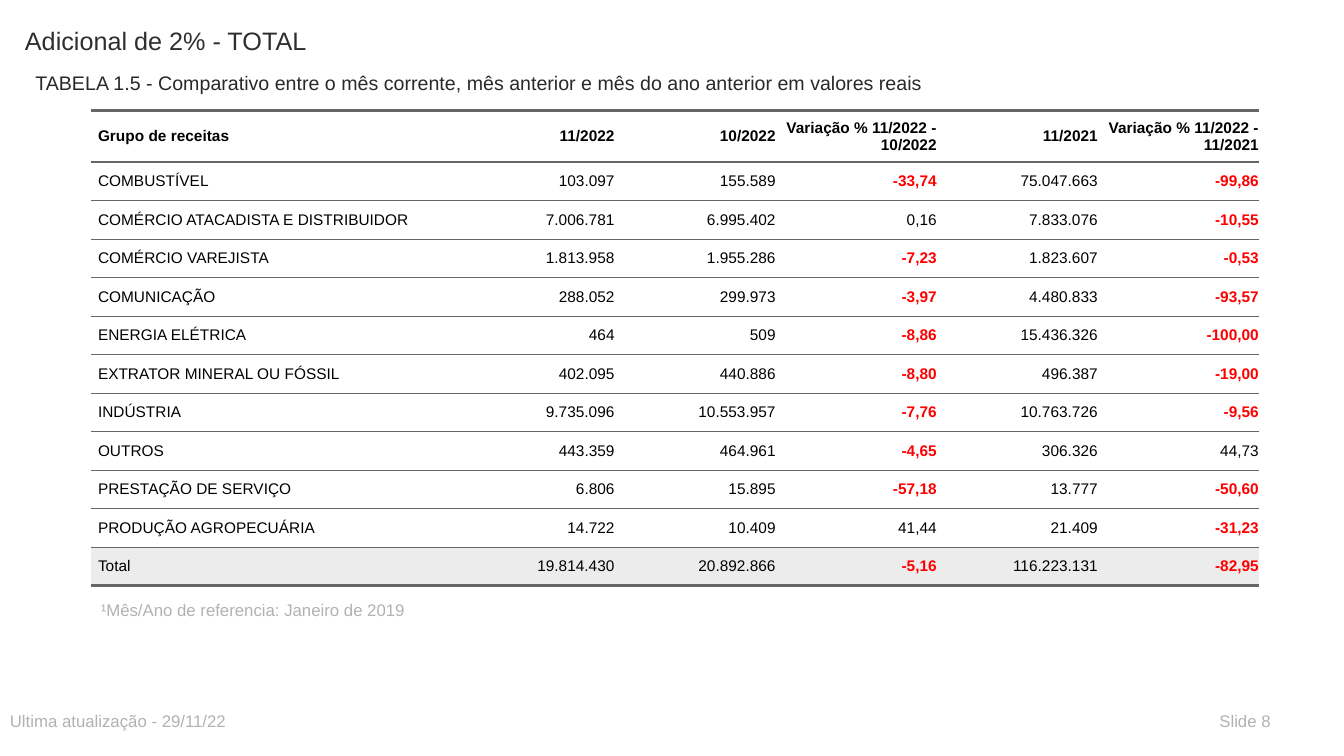
import pptx
import pptx.dml.color
import pptx.enum.text
import pptx.oxml
import pptx.oxml.ns
import pptx.util
from pptx.util import Cm

FONT = "Arial"
BLACK, RED, GREY, RULE = "000000", "FF0000", "B2B2B2", "666666"
THIN, THICK = 0.5, 2


def rgb(hex_color):
    return pptx.dml.color.RGBColor.from_string(hex_color)


def add_run(paragraph, text, size, color, bold=False):
    run = paragraph.add_run()
    run.text = text
    run.font.name = FONT
    run.font.size = pptx.util.Pt(size)
    run.font.bold = bold
    run.font.color.rgb = rgb(color)


presentation = pptx.Presentation()
presentation.slide_width = Cm(33.87)
presentation.slide_height = Cm(19.05)
slide = presentation.slides.add_slide(presentation.slide_layouts[6])

# Headings, footnote and footer: left, top, width, height, size, color, text
captions = [
    (0.38, 0.51, 20.32, 1.5, 18, "2D2E2D", "Adicional de 2% - TOTAL"),
    (0.64, 1.65, 25.4, 0.76, 14, "292929",
     "TABELA 1.5 - Comparativo entre o mês corrente, mês anterior e mês do ano anterior em valores reais"),
    (2.29, 14.99, 16.51, 0.76, 12, GREY, "¹Mês/Ano de referencia: Janeiro de 2019"),
    (0, 17.78, 16.51, 0.76, 12, GREY, "Ultima atualização - 29/11/22"),
    (30.48, 17.78, 2.29, 0.76, 12, GREY, "Slide 8"),
]
for left, top, width, height, size, color, text in captions:
    caption = slide.shapes.add_textbox(Cm(left), Cm(top), Cm(width), Cm(height))
    caption.text_frame.word_wrap = True
    add_run(caption.text_frame.paragraphs[0], text, size, color)

# Revenue table
revenues = [
    ("Grupo de receitas", "11/2022", "10/2022", "Variação % 11/2022 - 10/2022",
     "11/2021", "Variação % 11/2022 - 11/2021"),
    ("COMBUSTÍVEL", "103.097", "155.589", "-33,74", "75.047.663", "-99,86"),
    ("COMÉRCIO ATACADISTA E DISTRIBUIDOR", "7.006.781", "6.995.402", "0,16", "7.833.076", "-10,55"),
    ("COMÉRCIO VAREJISTA", "1.813.958", "1.955.286", "-7,23", "1.823.607", "-0,53"),
    ("COMUNICAÇÃO", "288.052", "299.973", "-3,97", "4.480.833", "-93,57"),
    ("ENERGIA ELÉTRICA", "464", "509", "-8,86", "15.436.326", "-100,00"),
    ("EXTRATOR MINERAL OU FÓSSIL", "402.095", "440.886", "-8,80", "496.387", "-19,00"),
    ("INDÚSTRIA", "9.735.096", "10.553.957", "-7,76", "10.763.726", "-9,56"),
    ("OUTROS", "443.359", "464.961", "-4,65", "306.326", "44,73"),
    ("PRESTAÇÃO DE SERVIÇO", "6.806", "15.895", "-57,18", "13.777", "-50,60"),
    ("PRODUÇÃO AGROPECUÁRIA", "14.722", "10.409", "41,44", "21.409", "-31,23"),
    ("Total", "19.814.430", "20.892.866", "-5,16", "116.223.131", "-82,95"),
]
column_widths = [9.14] + [4.06] * 5
row_heights = [1.22] + [0.97] * (len(revenues) - 1)
total_row = len(revenues) - 1
# Weight of each horizontal rule, from above the header to below the total
rule_weights = [THICK, THICK] + [THIN] * (total_row - 1) + [THICK]

table = slide.shapes.add_table(
    len(revenues), len(column_widths), Cm(2.29), Cm(2.79),
    Cm(sum(column_widths)), Cm(sum(row_heights))).table
table.first_row = False
table.horz_banding = False
no_grid_style = "{2D5ABB26-0587-4C30-8999-92F81FD0307C}"
table._tbl.tblPr.find(pptx.oxml.ns.qn("a:tableStyleId")).text = no_grid_style
for column, width in zip(table.columns, column_widths):
    column.width = Cm(width)
for row, height in zip(table.rows, row_heights):
    row.height = Cm(height)

for row_index, values in enumerate(revenues):
    for column_index, value in enumerate(values):
        cell = table.cell(row_index, column_index)
        cell.margin_left = cell.margin_right = 0
        cell.margin_top = cell.margin_bottom = Cm(0.18)
        cell.vertical_anchor = pptx.enum.text.MSO_ANCHOR.MIDDLE
        cell.fill.solid()
        cell.fill.fore_color.rgb = rgb("ECECEC" if row_index == total_row else "FFFFFF")

        paragraph = cell.text_frame.paragraphs[0]
        paragraph.space_before = paragraph.space_after = pptx.util.Pt(5)
        paragraph._p.get_or_add_pPr().set("marL", str(Cm(0.18)))
        if column_index > 0:
            paragraph.alignment = pptx.enum.text.PP_ALIGN.RIGHT
        negative = value.startswith("-")
        add_run(paragraph, value, 11, RED if negative else BLACK,
                bold=negative or row_index == 0)

        properties = cell._tc.get_or_add_tcPr()
        for position, edge in enumerate(("lnT", "lnB")):
            weight = pptx.util.Pt(rule_weights[row_index + position])
            properties.insert(position, pptx.oxml.parse_xml(
                f'<a:{edge} {pptx.oxml.ns.nsdecls("a")} w="{weight}"><a:solidFill>'
                f'<a:srgbClr val="{RULE}"/></a:solidFill></a:{edge}>'))

presentation.save("out.pptx")
